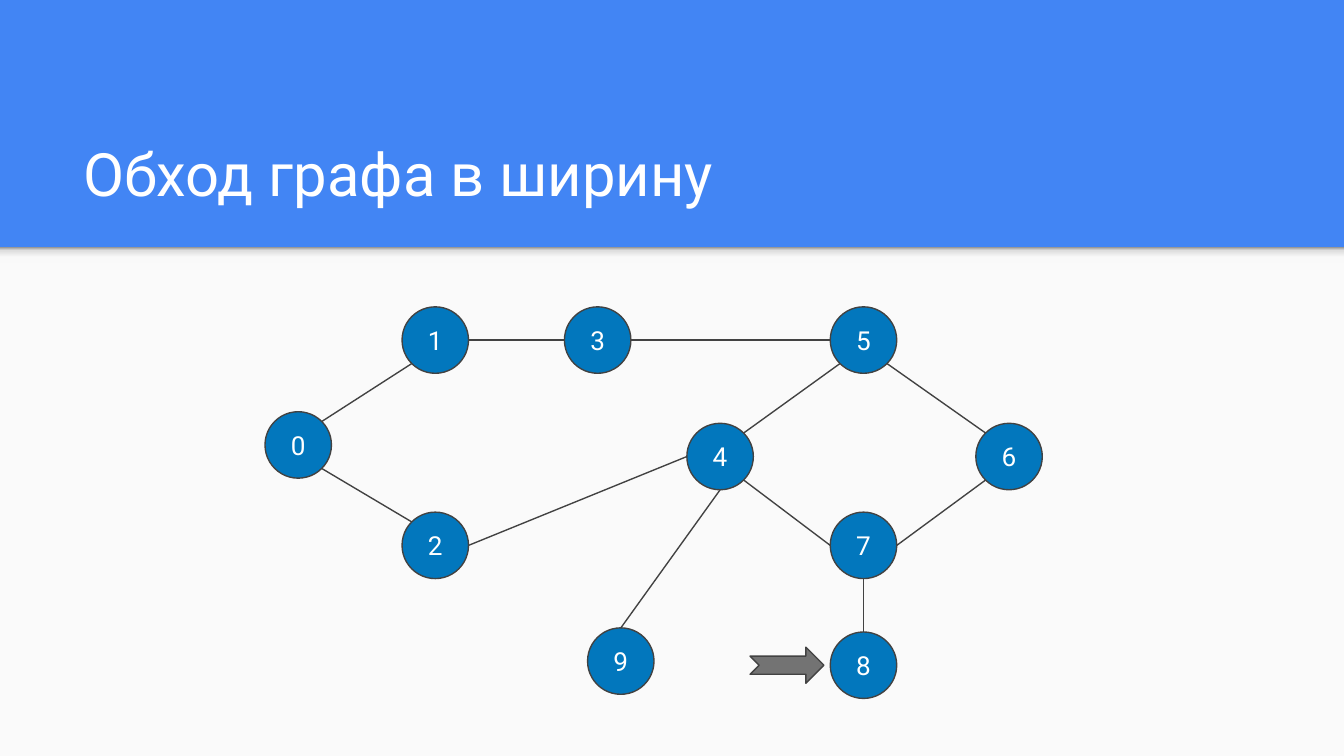
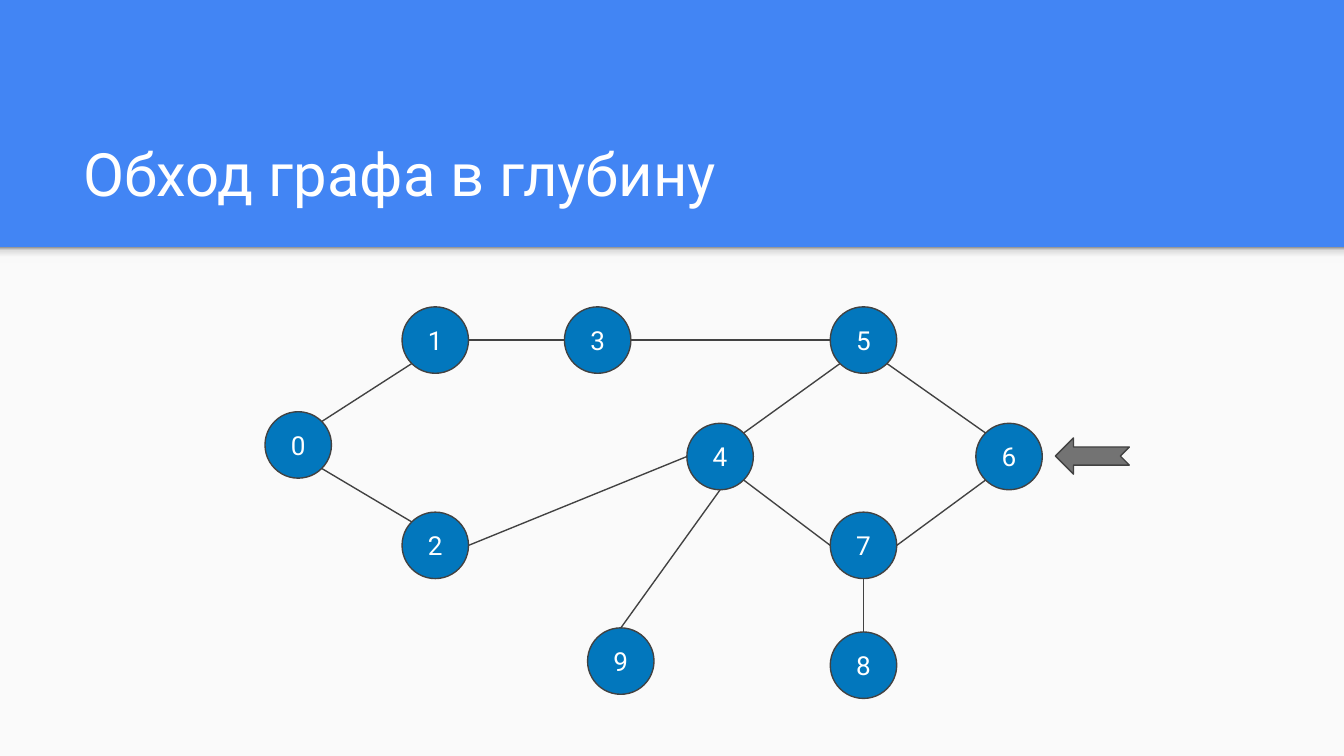
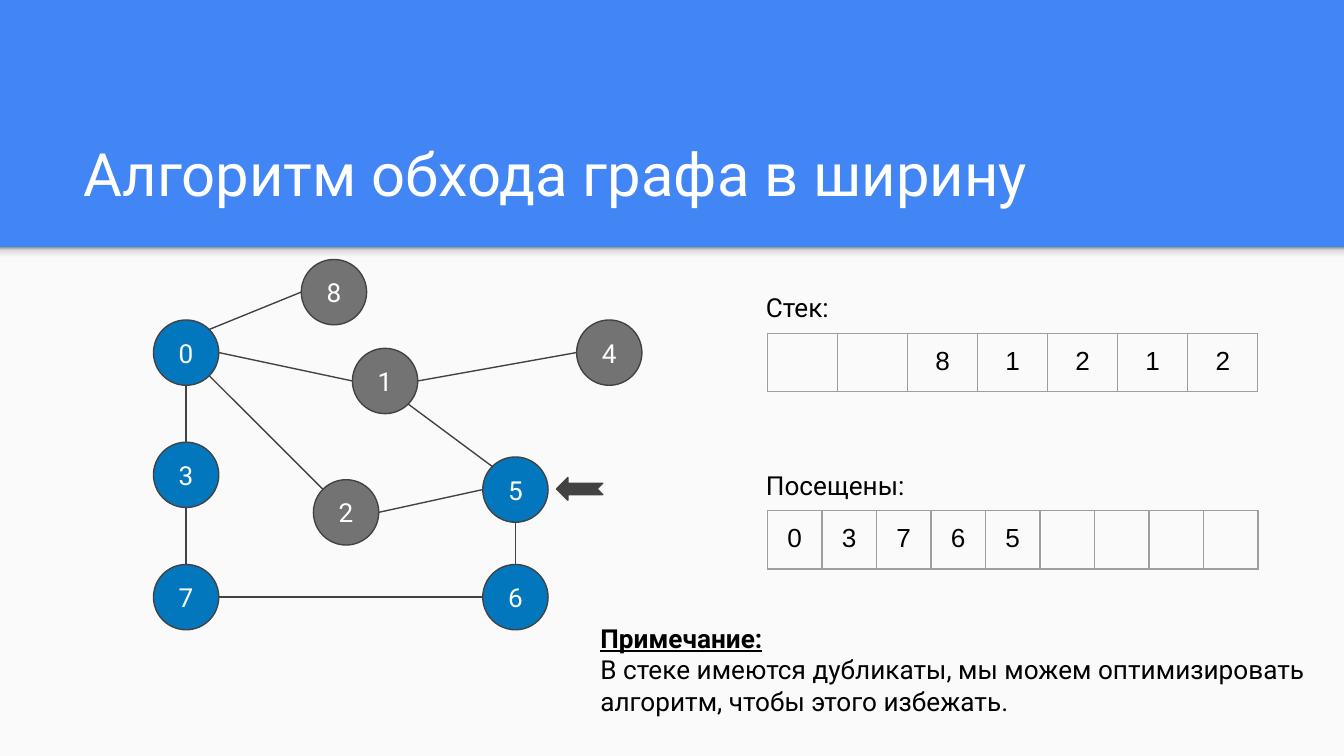
from collections import namedtuple
from dataclasses import dataclass
from math import cos, radians, sin

from lxml import etree
from pptx import Presentation
from pptx.dml.color import RGBColor
from pptx.enum.shapes import MSO_CONNECTOR, MSO_SHAPE
from pptx.enum.text import MSO_ANCHOR, PP_ALIGN
from pptx.oxml.ns import qn
from pptx.util import Pt

RECTANGLE, OVAL = MSO_SHAPE.RECTANGLE, MSO_SHAPE.OVAL
NOTCHED_ARROW = MSO_SHAPE.NOTCHED_RIGHT_ARROW
STRAIGHT = MSO_CONNECTOR.STRAIGHT
LEFT, CENTER = PP_ALIGN.LEFT, PP_ALIGN.CENTER
TOP, MIDDLE, BOTTOM = MSO_ANCHOR.TOP, MSO_ANCHOR.MIDDLE, MSO_ANCHOR.BOTTOM

# Connection sites of an oval, counted anticlockwise from the top
N, NW, W, SW, S, SE, E, NE = range(8)

Box = namedtuple("Box", "left top width height")


@dataclass(frozen=True)
class Theme:
    header: str = "4285F4"
    body: str = "FAFAFA"
    visited: str = "0277BD"
    waiting: str = "737373"
    outline: str = "424242"
    grid: str = "9E9E9E"
    light: str = "FFFFFF"
    dark: str = "000000"
    shade: tuple = ((0, "F9F9F9"), (36, "F9F9F9"), (80, "DEDEDE"), (100, "999999"))
    font: str = "Roboto"
    table_font: str = "Arial"
    title_size: float = 32
    text_size: float = 14
    line_width: float = 0.75
    inset: float = 7.2


THEME = Theme()
PAGE = Box(0, 0, 720, 405)
BODY_TOP = 132.5
TITLE_BOX = Box(37.4, 58.3, 647.3, 60.5)

TRAVERSAL_BOX = Box(142, 164.4, 416.4, 209.8)
TRAVERSAL_NODES = {
    "0": (0, 56.2), "1": (73.4, 0), "2": (73.4, 110), "3": (160.4, 0),
    "4": (226, 62.4), "5": (302.8, 0), "6": (380.8, 62.4),
    "7": (302.8, 110), "8": (302.8, 174.2), "9": (172.8, 172),
}
TRAVERSAL_EDGES = [
    ("0", SE, "2", NW), ("0", NE, "1", SW), ("1", E, "3", W),
    ("3", E, "5", W), ("5", SE, "6", NW), ("6", SW, "7", E),
    ("7", W, "4", SE), ("4", NE, "5", SW), ("2", E, "4", W),
    ("7", S, "8", N), ("9", N, "4", S),
]

ALGORITHM_BOX = Box(82.2, 139, 261.7, 198.4)
ALGORITHM_NODES = {
    "0": (0, 32.4), "3": (0, 97.9), "1": (106.6, 47.6), "2": (85.7, 118),
    "5": (176.4, 105.8), "7": (0, 163.4), "4": (226.7, 32.4),
    "6": (176.4, 163.4), "8": (79.2, 0),
}
ALGORITHM_EDGES = [
    ("0", S, "3", N), ("0", E, "1", W), ("0", SE, "2", NW),
    ("3", S, "7", N), ("1", SE, "5", NW), ("2", E, "5", W),
    ("1", E, "4", W), ("7", E, "6", W), ("5", S, "6", N),
    ("0", NE, "8", W),
]


def points(box):
    return [Pt(length) for length in box]


def color(code):
    return RGBColor.from_string(code)


def write(frame, *lines, size=THEME.text_size, ink=THEME.dark, font=THEME.font,
          align=LEFT, anchor=TOP, heading=False):
    """Fill a text frame; heading makes the first line bold and underlined."""
    frame.word_wrap = True
    frame.vertical_anchor = anchor
    frame.margin_left = frame.margin_right = Pt(THEME.inset)
    frame.margin_top = frame.margin_bottom = Pt(THEME.inset)
    for index, line in enumerate(lines):
        para = frame.add_paragraph() if index else frame.paragraphs[0]
        para.alignment = align
        span = para.add_run()
        span.text = line
        span.font.name, span.font.size = font, Pt(size)
        span.font.color.rgb = color(ink)
        if heading and index == 0:
            span.font.bold = span.font.underline = True


def add_text(page, box, *lines, **style):
    write(page.shapes.add_textbox(*points(box)).text_frame, *lines, **style)


def add_figure(page, kind, box, fill, outline=None):
    figure = page.shapes.add_shape(kind, *points(box))
    figure.shadow.inherit = False
    figure.fill.solid()
    figure.fill.fore_color.rgb = color(fill)
    if outline:
        figure.line.color.rgb = color(outline)
        figure.line.width = Pt(THEME.line_width)
    else:
        figure.line.fill.background()
    return figure


def add_header_shade(page, box):
    shade = add_figure(page, RECTANGLE, box, THEME.body)
    shade.fill.gradient()
    shade.fill.gradient_angle = 90
    stops = shade.element.spPr.find(".//" + qn("a:gsLst"))
    for stop in list(stops):
        stops.remove(stop)
    for percent, code in THEME.shade:
        stop = etree.SubElement(stops, qn("a:gs"), pos=str(percent * 1000))
        etree.SubElement(stop, qn("a:srgbClr"), val=code)


def add_page(deck, title):
    page = deck.slides.add_slide(deck.slide_layouts[6])
    page.background.fill.solid()
    page.background.fill.fore_color.rgb = color(THEME.header)
    body = Box(0, BODY_TOP, PAGE.width, PAGE.height - BODY_TOP)
    add_figure(page, RECTANGLE, body, THEME.body)
    add_header_shade(page, body._replace(height=8.6))
    add_text(page, TITLE_BOX, title, size=THEME.title_size, ink=THEME.light,
             anchor=BOTTOM)
    return page


def site_point(oval, site):
    angle = radians(90 + 45 * site)
    return (int(oval.left + oval.width / 2 * (1 + cos(angle))),
            int(oval.top + oval.height / 2 * (1 - sin(angle))))


def add_edge(page, start, start_site, end, end_site):
    """Join two ovals; their eight sites need the glue written as XML."""
    edge = page.shapes.add_connector(STRAIGHT, *site_point(start, start_site),
                                     *site_point(end, end_site))
    edge.line.color.rgb = color(THEME.outline)
    edge.line.width = Pt(THEME.line_width)
    etree.SubElement(edge.element.spPr, qn("a:effectLst"))
    glue = edge.element.nvCxnSpPr.cNvCxnSpPr
    for tag, oval, site in (("a:stCxn", start, start_site), ("a:endCxn", end, end_site)):
        etree.SubElement(glue, qn(tag), id=str(oval.shape_id), idx=str(site))


def add_graph(page, box, nodes, edges, diameter, waiting=()):
    ovals = {}
    for name, (left, top) in nodes.items():
        place = Box(box.left + left, box.top + top, diameter, diameter)
        fill = THEME.waiting if name in waiting else THEME.visited
        ovals[name] = add_figure(page, OVAL, place, fill, THEME.outline)
        write(ovals[name].text_frame, name, ink=THEME.light, align=CENTER, anchor=MIDDLE)
    for start, start_site, end, end_site in edges:
        add_edge(page, ovals[start], start_site, ovals[end], end_site)


def add_pointer(page, box, fill, rotation=0):
    pointer = add_figure(page, NOTCHED_ARROW, box, fill, THEME.outline)
    pointer.rotation = rotation


def format_cell(cell, value):
    properties = cell._tc.get_or_add_tcPr()
    for side in ("a:lnL", "a:lnR", "a:lnT", "a:lnB"):
        border = etree.SubElement(properties, qn(side), w=str(Pt(THEME.line_width)))
        fill = etree.SubElement(border, qn("a:solidFill"))
        etree.SubElement(fill, qn("a:srgbClr"), val=THEME.grid)
    cell.fill.background()
    cell.margin_left = cell.margin_right = Pt(THEME.inset)
    cell.margin_top = cell.margin_bottom = Pt(THEME.inset)
    para = cell.text_frame.paragraphs[0]
    para.alignment = CENTER
    if value:
        span = para.add_run()
        span.text = value
        span.font.name, span.font.size = THEME.table_font, Pt(THEME.text_size)
        span.font.color.rgb = color(THEME.dark)
    else:
        # An empty cell would otherwise take the default size and stretch the row
        etree.SubElement(para._p, qn("a:endParaRPr"), sz=str(int(THEME.text_size * 100)))


def add_list(page, box, label, values):
    """Place a label over a one-row table."""
    add_text(page, box._replace(height=20.2), label)
    place = Box(box.left + 7.9, box.top + 29.6, box.width, box.height - 29.6)
    table = page.shapes.add_table(1, len(values), *points(place)).table
    table.first_row = table.horz_banding = False
    for column, value in enumerate(values):
        table.columns[column].width = Pt(place.width / len(values))
        format_cell(table.cell(0, column), value)


def build_traversal(deck, title, pointer_box, rotation=0):
    page = add_page(deck, title)
    add_graph(page, TRAVERSAL_BOX, TRAVERSAL_NODES, TRAVERSAL_EDGES, 35.6)
    add_pointer(page, pointer_box, THEME.waiting, rotation)


def build_algorithm(deck):
    page = add_page(deck, "Алгоритм обхода графа в ширину")
    add_graph(page, ALGORITHM_BOX, ALGORITHM_NODES, ALGORITHM_EDGES, 35, waiting="1248")
    add_pointer(page, Box(298.1, 255.8, 24.8, 12.2), THEME.outline, 180)
    stack = Box(403.2, 149, 262.8, 60)
    add_list(page, stack, "Стек:", ["", "", *"81212"])
    add_list(page, stack._replace(top=stack.top + 95), "Посещены:",
             [*"03765", "", "", "", ""])
    add_text(page, Box(314.6, 326.2, 398.2, 63.4), "Примечание:",
             "В стеке имеются дубликаты, мы можем оптимизировать алгоритм, "
             "чтобы этого избежать.", heading=True)


def main():
    deck = Presentation()
    deck.slide_width, deck.slide_height = Pt(PAGE.width), Pt(PAGE.height)
    build_traversal(deck, "Обход графа в ширину", Box(401.8, 346.7, 39.6, 19.4))
    build_traversal(deck, "Обход графа в глубину", Box(565.4, 234.6, 39.6, 19.4), 180)
    build_algorithm(deck)
    deck.save("out.pptx")


if __name__ == "__main__":
    main()
